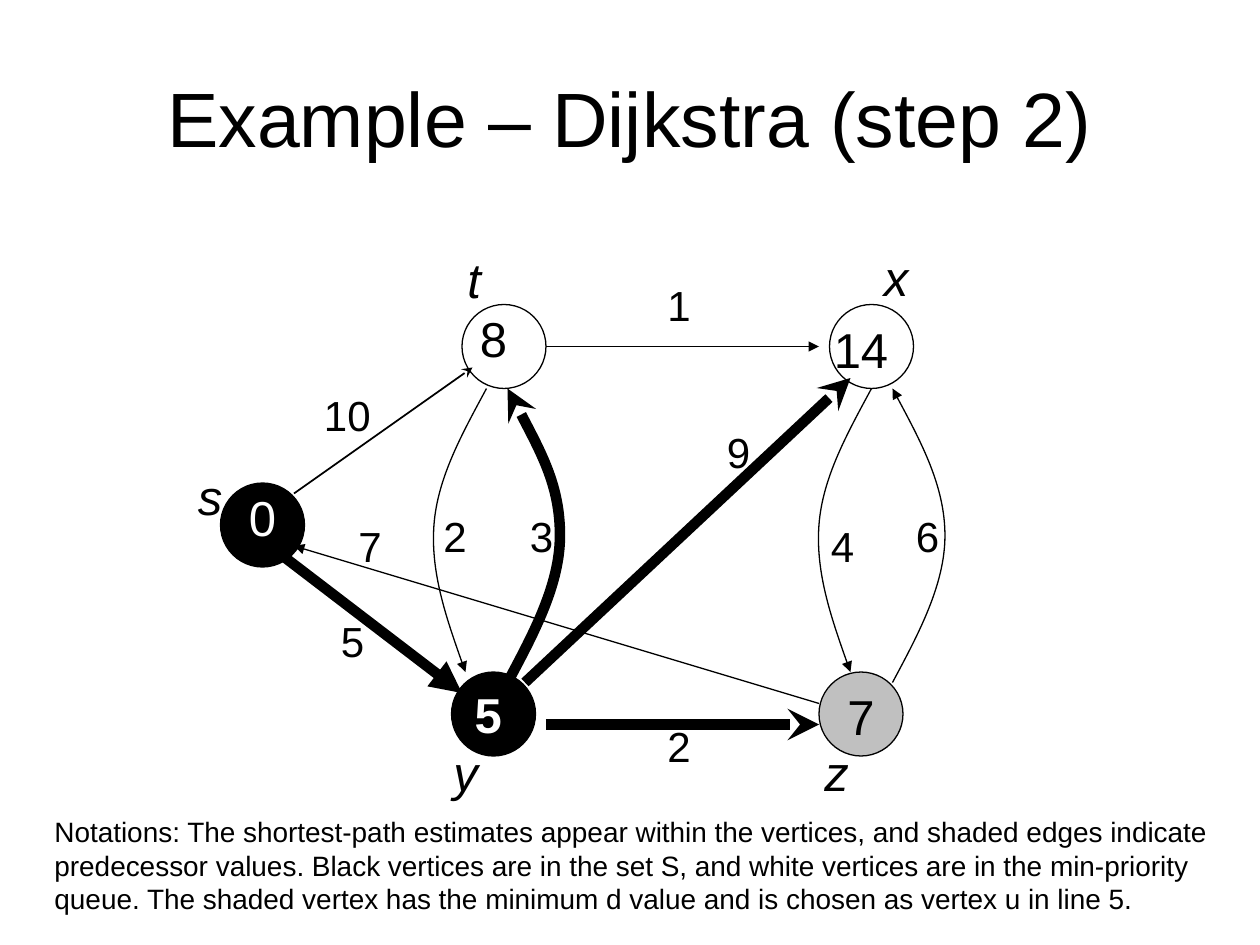
"""Build a slide showing the second step of Dijkstra's algorithm on a five-vertex graph."""
from dataclasses import dataclass
from typing import Optional

from lxml.etree import SubElement
from pptx import Presentation
from pptx.dml.color import RGBColor
from pptx.enum.shapes import MSO_CONNECTOR, MSO_SHAPE
from pptx.enum.text import MSO_ANCHOR, MSO_AUTO_SIZE, PP_ALIGN
from pptx.oxml.ns import qn
from pptx.util import Pt

BLACK = RGBColor(0, 0, 0)
WHITE = RGBColor(255, 255, 255)
GREY = RGBColor(192, 192, 192)
FONT = "Arial"
DIAMETER = 48
THIN, THICK = 0.75, 6
COLUMN_SHIFT = -220

Point = tuple[float, float]


@dataclass(frozen=True)
class Vertex:
    name: str
    estimate: str
    corner: Point
    name_at: Point
    estimate_at: Point
    fill: Optional[RGBColor] = None
    ink: RGBColor = BLACK
    bold: bool = False


@dataclass(frozen=True)
class Edge:
    weight: str
    weight_at: Point
    points: tuple[Point, ...]
    width: float = THIN
    head: str = "triangle"


VERTICES = (
    Vertex("s", "0", (126, 276), (120, 263), (150, 275), BLACK, WHITE),
    Vertex("t", "8", (264, 174), (271, 139), (282, 173)),
    Vertex("x", "14", (474, 174), (512, 138), (492, 179)),
    Vertex("y", "5", (258, 384), (266, 421), (279, 387.5), BLACK, WHITE, True),
    Vertex("z", "7", (468, 384), (478, 421), (492, 389), GREY),
)

RISING = ((510, 390), (525, 362), (540, 334), (540, 306), (540, 278), (525, 250), (510, 222))
FALLING = ((498, 222), (484, 248), (470, 273), (468, 300), (466, 327), (476, 356), (486, 384))


def shifted(points: tuple[Point, ...]) -> tuple[Point, ...]:
    return tuple((x + COLUMN_SHIFT, y) for x, y in points)


EDGES = (
    Edge("5", (201.5, 348), ((162, 318), (264, 396)), THICK),
    Edge("10", (198.5, 219), ((168, 282), (270, 210)), 1, "stealth"),
    Edge("2", (388, 408), ((312, 414), (468, 414)), THICK, "stealth"),
    Edge("9", (422, 240), ((300, 390), (486, 216)), THICK, "stealth"),
    Edge("7", (211.5, 294), ((468, 402), (168, 312))),
    Edge("1", (388, 156), ((312, 198), (468, 198))),
    Edge("6", (530, 288), RISING),
    Edge("4", (481.5, 294), FALLING),
    Edge("3", (309.5, 288), shifted(RISING), THICK, "stealth"),
    Edge("2", (260, 288), shifted(FALLING)),
)

NOTATIONS = (
    "Notations: The shortest-path estimates appear within the vertices, and shaded edges "
    "indicate predecessor values. Black vertices are in the set S, and white vertices are in "
    "the min-priority queue. The shaded vertex has the minimum d value and is chosen as "
    "vertex u in line 5."
)


def write(frame, text: str, *, size: float, color: RGBColor = BLACK, bold: bool = False,
          italic: bool = False, align: PP_ALIGN = PP_ALIGN.CENTER) -> None:
    paragraph = frame.paragraphs[0]
    paragraph.alignment = align
    run = paragraph.add_run()
    run.text = text
    run.font.name = FONT
    run.font.size = Pt(size)
    run.font.color.rgb = color
    run.font.bold = bold
    run.font.italic = italic


def add_label(slide, text: str, top_centre: Point, size: float, **style) -> None:
    width = 14.4 + 0.56 * size * len(text)
    centre, top = top_centre
    label = slide.shapes.add_textbox(
        Pt(centre - width / 2), Pt(top), Pt(width), Pt(7.2 + 1.2 * size))
    label.text_frame.word_wrap = False
    label.text_frame.auto_size = MSO_AUTO_SIZE.SHAPE_TO_FIT_TEXT
    write(label.text_frame, text, size=size, **style)


def add_circle(slide, vertex: Vertex) -> None:
    left, top = vertex.corner
    circle = slide.shapes.add_shape(
        MSO_SHAPE.OVAL, Pt(left), Pt(top), Pt(DIAMETER), Pt(DIAMETER))
    circle.shadow.inherit = False
    if vertex.fill is None:
        circle.fill.background()
    else:
        circle.fill.solid()
        circle.fill.fore_color.rgb = vertex.fill
    circle.line.color.rgb = BLACK
    circle.line.width = Pt(THIN)


def add_straight(slide, points: tuple[Point, ...]):
    (x1, y1), (x2, y2) = points
    connector = slide.shapes.add_connector(
        MSO_CONNECTOR.STRAIGHT, Pt(x1), Pt(y1), Pt(x2), Pt(y2))
    return connector


def add_curve(slide, points: tuple[Point, ...]):
    start, *controls = [(Pt(x), Pt(y)) for x, y in points]
    builder = slide.shapes.build_freeform(*start)
    builder.add_line_segments(controls, close=False)
    curve = builder.convert_to_shape()
    outline = curve.element.xpath(".//a:path")[0]
    segments = outline.findall(qn("a:lnTo"))
    for first in range(0, len(segments), 3):
        bezier = SubElement(outline, qn("a:cubicBezTo"))
        for segment in segments[first:first + 3]:
            bezier.append(segment[0])
            outline.remove(segment)
    curve.fill.background()
    curve.shadow.inherit = False
    return curve


def add_edge(slide, edge: Edge) -> None:
    straight = len(edge.points) == 2
    arrow = (add_straight if straight else add_curve)(slide, edge.points)
    arrow.line.color.rgb = BLACK
    arrow.line.width = Pt(edge.width)
    SubElement(arrow.element.xpath(".//a:ln")[0], qn("a:tailEnd"), type=edge.head)
    if straight:
        SubElement(arrow.element.spPr, qn("a:effectLst"))


def add_title(slide, text: str) -> None:
    title = slide.shapes.title
    title.left, title.top, title.width, title.height = Pt(36), Pt(21.6), Pt(648), Pt(90)
    title.text_frame.vertical_anchor = MSO_ANCHOR.MIDDLE
    write(title.text_frame, text, size=44)


def add_notations(slide) -> None:
    notations = slide.shapes.add_textbox(Pt(24), Pt(462), Pt(696), Pt(65))
    notations.text_frame.word_wrap = True
    write(notations.text_frame, NOTATIONS, size=16, align=PP_ALIGN.LEFT)


def main() -> None:
    deck = Presentation()
    deck.slide_width, deck.slide_height = Pt(720), Pt(540)
    slide = deck.slides.add_slide(deck.slide_layouts[5])
    add_title(slide, "Example – Dijkstra (step 2)")
    for vertex in VERTICES:
        add_circle(slide, vertex)
    for edge in EDGES:
        add_edge(slide, edge)
        add_label(slide, edge.weight, edge.weight_at, 24)
    for vertex in VERTICES:
        add_label(slide, vertex.name, vertex.name_at, 28, italic=True)
        add_label(slide, vertex.estimate, vertex.estimate_at, 28,
                  color=vertex.ink, bold=vertex.bold)
    add_notations(slide)
    deck.save("out.pptx")


if __name__ == "__main__":
    main()
